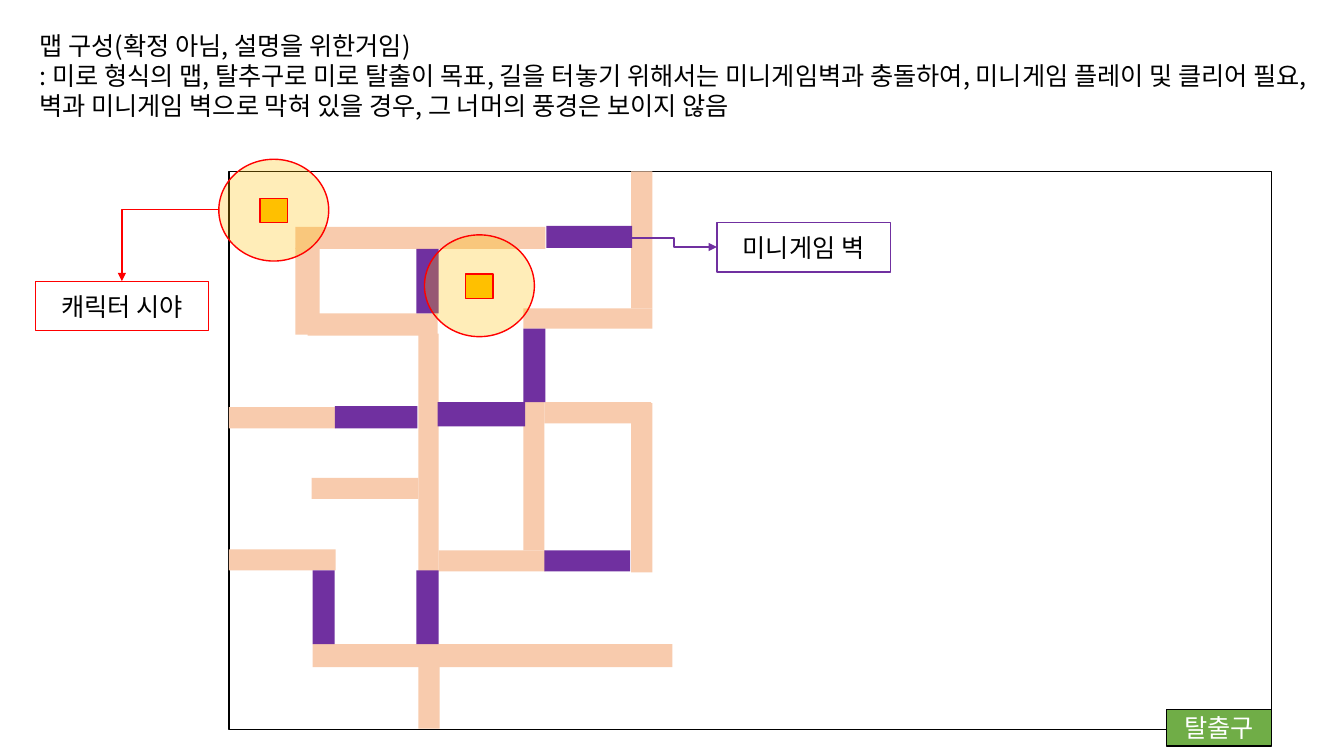
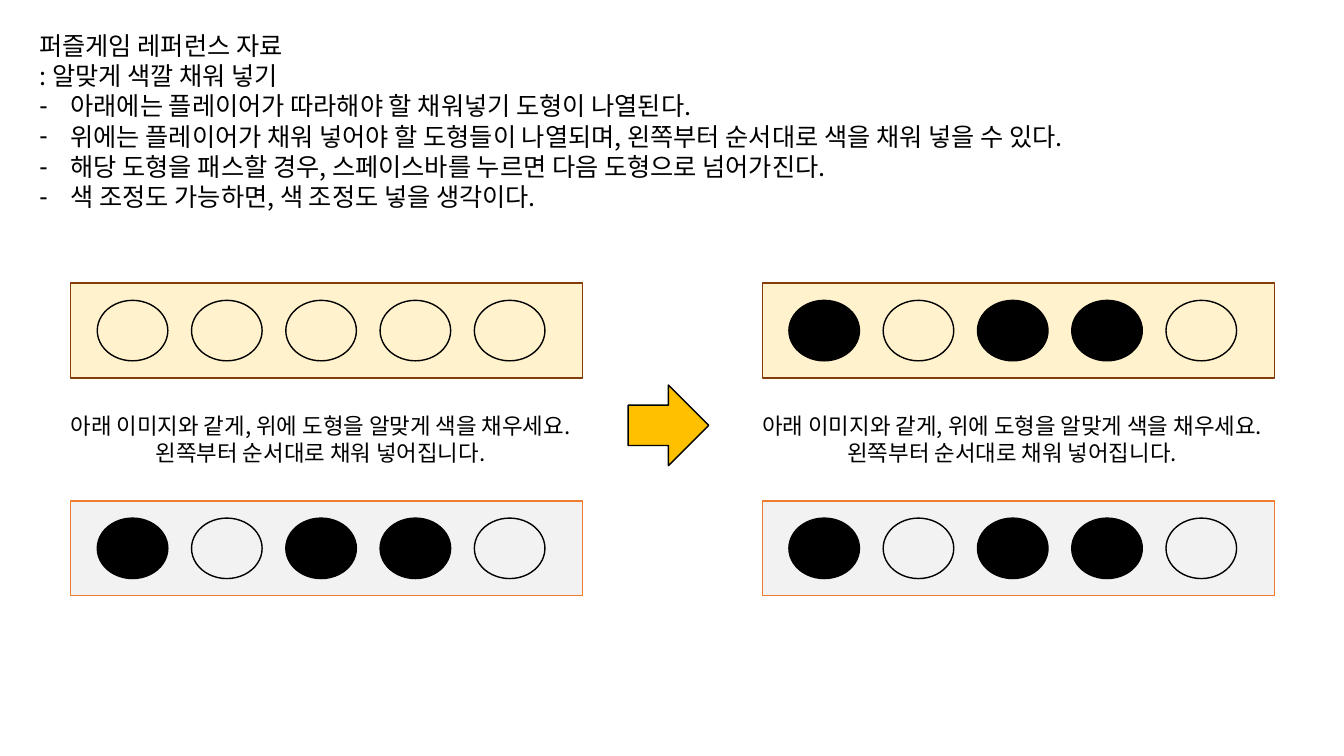
"""Builds two slides on a maze map and a colour filling puzzle."""
from lxml import etree
from pptx import Presentation
from pptx.dml.color import RGBColor
from pptx.enum.shapes import MSO_CONNECTOR, MSO_SHAPE
from pptx.enum.text import MSO_ANCHOR, MSO_AUTO_SIZE, PP_ALIGN
from pptx.oxml.ns import qn
from pptx.util import Inches, Pt

RECTANGLE, OVAL, ARROW = MSO_SHAPE.RECTANGLE, MSO_SHAPE.OVAL, MSO_SHAPE.RIGHT_ARROW
ELBOW = MSO_CONNECTOR.ELBOW
LEFT, CENTER = PP_ALIGN.LEFT, PP_ALIGN.CENTER
TOP, MIDDLE = MSO_ANCHOR.TOP, MSO_ANCHOR.MIDDLE

FONT = "Noto Sans CJK KR"
COLORS = {
    "black": "000000", "white": "FFFFFF", "wall": "F8CBAD", "game": "7030A0",
    "gold": "FFC000", "red": "FF0000", "exit": "70AD47", "cream": "FFF2CC",
    "brown": "843C0B", "gray": "F2F2F2", "orange": "ED7D31",
}

MAP_TITLE = "맵 구성(확정 아님, 설명을 위한거임)"
MAP_TEXT = [
    ": 미로 형식의 맵, 탈추구로 미로 탈출이 목표, 길을 터놓기 위해서는 미니게임벽과 충돌하여, "
    "미니게임 플레이 및 클리어 필요, 벽과 미니게임 벽으로 막혀 있을 경우, "
    "그 너머의 풍경은 보이지 않음",
]
PUZZLE_TITLE = "퍼즐게임 레퍼런스 자료"
PUZZLE_TEXT = [": 알맞게 색깔 채워 넣기"]
PUZZLE_RULES = [
    "아래에는 플레이어가 따라해야 할 채워넣기 도형이 나열된다.",
    "위에는 플레이어가 채워 넣어야 할 도형들이 나열되며, 왼쪽부터 순서대로 색을 채워 넣을 수 있다.",
    "해당 도형을 패스할 경우, 스페이스바를 누르면 다음 도형으로 넘어가진다.",
    "색 조정도 가능하면, 색 조정도 넣을 생각이다.",
]
PUZZLE_HINT = [
    "아래 이미지와 같게, 위에 도형을 알맞게 색을 채우세요.",
    "왼쪽부터 순서대로 채워 넣어집니다.",
]

MAZE = {
    "wall": [
        (2.27, 4.04, 1.06, 0.21), (2.93, 2.46, 0.24, 0.86), (3.05, 3.11, 1.29, 0.22),
        (4.15, 3.31, 0.2, 2.36), (3.09, 4.74, 1.06, 0.21), (2.27, 5.45, 1.06, 0.21),
        (2.93, 2.25, 2.48, 0.22), (5.19, 3.06, 1.28, 0.2), (6.26, 1.7, 0.21, 1.36),
        (3.1, 6.39, 3.57, 0.23), (4.15, 6.53, 0.21, 0.7), (5.4, 3.99, 1.06, 0.21),
        (4.35, 5.46, 1.06, 0.21), (5.19, 3.99, 0.21, 1.47), (6.26, 4, 0.21, 1.68),
    ],
    "game": [
        (5.42, 2.24, 0.85, 0.22), (3.32, 4.03, 0.82, 0.22), (4.34, 3.99, 0.87, 0.24),
        (5.19, 3.26, 0.22, 0.73), (4.13, 5.66, 0.22, 0.73), (3.1, 5.66, 0.22, 0.73),
        (5.4, 5.46, 0.85, 0.21), (4.13, 2.47, 0.22, 0.64),
    ],
}
CHARACTERS = [(2.17, 1.58), (4.21, 2.33)]
LABELS = [
    ("캐릭터 시야", (0.35, 2.79, 1.72, 0.49), "white", "red", "black"),
    ("미니게임 벽", (7.11, 2.21, 1.72, 0.49), "white", "game", "black"),
    ("탈출구", (11.57, 7.04, 1.04, 0.36), "exit", "black", "white"),
]
POINTERS = [
    ((2.17, 2.08), (1.21, 2.79), "red", "bentConnector2"),
    ((6.26, 2.36), (7.11, 2.45), "game", "bentConnector3"),
]

ANSWER = (1, 0, 1, 1, 0)
EMPTY = (0, 0, 0, 0, 0)
PANELS = [(0.7, EMPTY), (7.56, ANSWER)]
PANEL_WIDTH, PANEL_HEIGHT, HINT_WIDTH = 5.08, 0.94, 7.16
DOT_WIDTH, DOT_HEIGHT, DOT_STEP, DOT_INDENT = 0.7, 0.6, 0.935, 0.265


def color(name):
    return RGBColor.from_string(COLORS[name])


def box(values):
    return [Inches(value) for value in values]


def add_shape(shapes, kind, place, fill=None, line=None):
    shape = shapes.add_shape(kind, *box(place))
    shape.shadow.inherit = False
    for part, name in ((shape.fill, fill), (shape.line.fill, line)):
        if name:
            part.solid()
            part.fore_color.rgb = color(name)
        else:
            part.background()
    if line:
        shape.line.width = Pt(1)
    return shape


def write(shape, lines, size=18, tint="black", align=LEFT, anchor=TOP):
    frame = shape.text_frame
    settings = {"word_wrap": True, "auto_size": MSO_AUTO_SIZE.NONE, "vertical_anchor": anchor}
    for name, value in settings.items():
        setattr(frame, name, value)
    for index, line in enumerate(lines):
        paragraph = frame.paragraphs[0] if index == 0 else frame.add_paragraph()
        spacing = {"alignment": align, "space_before": Pt(0), "space_after": Pt(0)}
        for name, value in spacing.items():
            setattr(paragraph, name, value)
        run = paragraph.add_run()
        run.text = line
        for name, value in {"name": FONT, "size": Pt(size), "bold": False}.items():
            setattr(run.font, name, value)
        run.font.color.rgb = color(tint)
        etree.SubElement(run._r.get_or_add_rPr(), qn("a:ea"), typeface=FONT)


def set_bullet(paragraph, mark=None):
    properties = paragraph._p.get_or_add_pPr()
    indent = Inches(0.31) if mark else 0
    properties.set("marL", str(indent))
    properties.set("indent", str(-indent))
    if mark:
        etree.SubElement(properties, qn("a:buChar"), char=mark)
    else:
        etree.SubElement(properties, qn("a:buNone"))


def add_slide(presentation, title, text, rules, width, height):
    slide = presentation.slides.add_slide(presentation.slide_layouts[1])
    heading, body = slide.placeholders
    for shape, place, lines in (
        (heading, (0.29, 0.25, width, 0.4), [title]),
        (body, (0.29, 0.55, width, height), text + rules),
    ):
        shape.left, shape.top, shape.width, shape.height = box(place)
        write(shape, lines)
    for index, paragraph in enumerate(body.text_frame.paragraphs):
        set_bullet(paragraph, "-" if index >= len(text) else None)
    return slide


def add_pointer(shapes, start, end, tint, bend):
    pointer = shapes.add_connector(ELBOW, *box(start + end))
    pointer.line.color.rgb = color(tint)
    pointer.line.width = Pt(1)
    properties = pointer._element.spPr
    properties.find(qn("a:prstGeom")).set("prst", bend)
    etree.SubElement(pointer.line._get_or_add_ln(), qn("a:tailEnd"), type="triangle")
    etree.SubElement(properties, qn("a:effectLst"))


def add_character(shapes, left, top):
    group = shapes.add_group_shape()
    sight = add_shape(group.shapes, OVAL, (left, top, 1.09, 1.01), "gold", "red")
    tint = sight._element.spPr.find(qn("a:solidFill"))[0]
    etree.SubElement(tint, qn("a:alpha"), val="28000")
    add_shape(group.shapes, RECTANGLE, (left + 0.41, top + 0.39, 0.27, 0.24), "gold", "red")


def add_row(shapes, left, top, pattern, fill, line):
    add_shape(shapes, RECTANGLE, (left, top, PANEL_WIDTH, PANEL_HEIGHT), fill, line)
    dot_top = top + (PANEL_HEIGHT - DOT_HEIGHT) / 2
    for index, filled in enumerate(pattern):
        place = (left + DOT_INDENT + index * DOT_STEP, dot_top, DOT_WIDTH, DOT_HEIGHT)
        add_shape(shapes, OVAL, place, "black" if filled else None, "black")


def build_map(presentation):
    shapes = add_slide(presentation, MAP_TITLE, MAP_TEXT, [], 12.82, 0.71).shapes
    add_shape(shapes, RECTANGLE, (2.27, 1.7, 10.34, 5.54), line="black")
    for fill, places in MAZE.items():
        for place in places:
            add_shape(shapes, RECTANGLE, place, fill)
    for left, top in CHARACTERS:
        add_character(shapes, left, top)
    for pointer in POINTERS:
        add_pointer(shapes, *pointer)
    for text, place, fill, line, tint in LABELS:
        label = add_shape(shapes, RECTANGLE, place, fill, line)
        write(label, [text], tint=tint, align=CENTER, anchor=MIDDLE)


def build_puzzle(presentation):
    shapes = add_slide(
        presentation, PUZZLE_TITLE, PUZZLE_TEXT, PUZZLE_RULES, 11.76, 1.62
    ).shapes
    for left, progress in PANELS:
        add_row(shapes, left, 2.81, progress, "cream", "brown")
        add_row(shapes, left, 4.97, ANSWER, "gray", "orange")
        hint_left = left + (PANEL_WIDTH - HINT_WIDTH) / 2 - 0.06
        hint = shapes.add_textbox(*box((hint_left, 4.04, HINT_WIDTH, 0.64)))
        write(hint, PUZZLE_HINT, size=16, align=CENTER)
    add_shape(shapes, ARROW, (6.23, 3.82, 0.8, 0.8), "gold", "black")


def main():
    presentation = Presentation()
    presentation.slide_width, presentation.slide_height = box((13.33, 7.5))
    build_map(presentation)
    build_puzzle(presentation)
    presentation.save("out.pptx")


if __name__ == "__main__":
    main()
